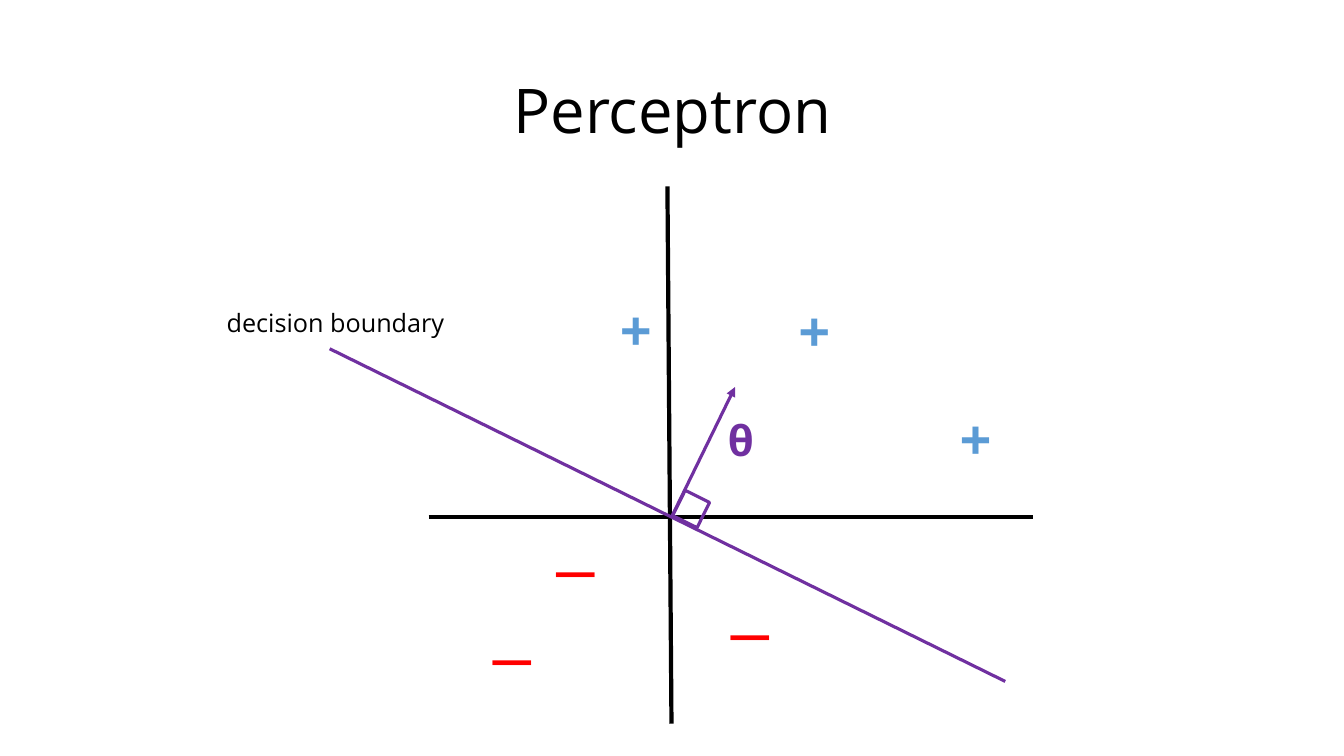
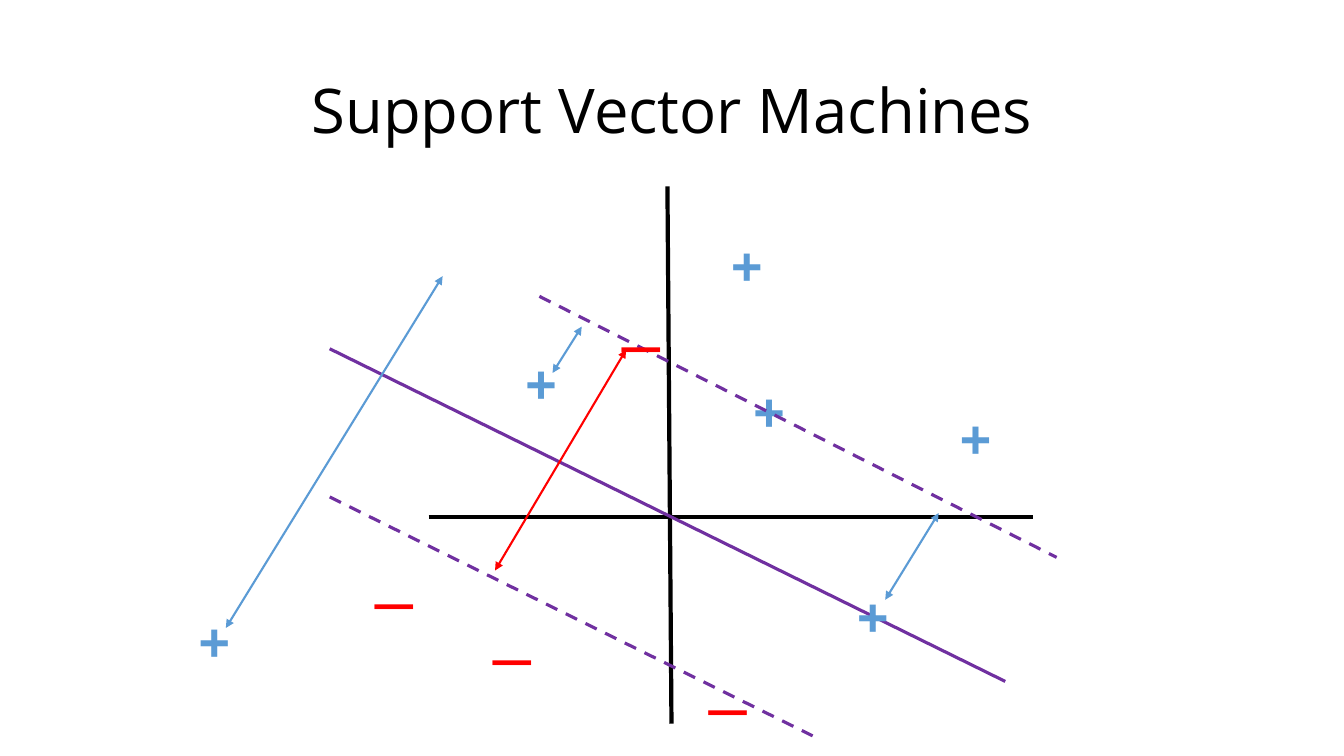
from lxml import etree
from pptx import Presentation
from pptx import util as u
from pptx.dml.color import RGBColor
from pptx.enum import dml, shapes, text
from pptx.oxml.ns import qn

FONT = "Open Sans"
COLORS = {
    "ink": "000000",
    "boundary": "7030A0",
    "positive": "5B9BD5",
    "negative": "FF0000",
}


def color(name):
    return RGBColor.from_string(COLORS[name])


# Text
def add_text(slide, content, box, size, color_name, bold=False):
    shape = slide.shapes.add_textbox(*[u.Inches(length) for length in box])
    frame = shape.text_frame
    frame.text = content
    frame.word_wrap = False
    frame.auto_size = text.MSO_AUTO_SIZE.SHAPE_TO_FIT_TEXT
    font = frame.paragraphs[0].runs[0].font
    font.name, font.size, font.bold = FONT, u.Pt(size), bold
    font.color.rgb = color(color_name)
    return frame


def add_title(slide, content):
    frame = add_text(slide, content, (0.92, 0.4, 11.5, 1.45), 44, "ink")
    frame.word_wrap = True
    frame.auto_size = text.MSO_AUTO_SIZE.NONE
    frame.vertical_anchor = text.MSO_ANCHOR.MIDDLE
    paragraph = frame.paragraphs[0]
    paragraph.alignment = text.PP_ALIGN.CENTER
    paragraph.line_spacing = 0.9


def add_positives(slide, *corners):
    for left, top in corners:
        add_text(slide, "+", (left, top, 0.58, 0.77), 40, "positive", True)


def add_negatives(slide, *corners):
    for left, top in corners:
        add_text(slide, "—", (left, top, 0.45, 0.61), 30, "negative", True)


# Lines
def add_line(slide, start, end, color_name, width=2.25, dashed=False, arrows=()):
    ends = [u.Inches(length) for length in (*start, *end)]
    connector = slide.shapes.add_connector(shapes.MSO_CONNECTOR.STRAIGHT, *ends)
    connector.line.color.rgb = color(color_name)
    connector.line.width = u.Pt(width)
    if dashed:
        connector.line.dash_style = dml.MSO_LINE.DASH
    outline = connector.line._get_or_add_ln()
    for arrow in arrows:
        etree.SubElement(outline, qn(f"a:{arrow}"), type="triangle")
    etree.SubElement(connector._element.spPr, qn("a:effectLst"))


def add_distance(slide, start, end, color_name):
    add_line(slide, start, end, color_name, 1.5, arrows=("headEnd", "tailEnd"))


def add_axes(slide):
    add_line(slide, (4.25, 5.13), (10.25, 5.13), "ink", 3)
    add_line(slide, (6.62, 1.85), (6.66, 7.18), "ink", 3)


def add_boundary(slide):
    add_line(slide, (3.27, 3.46), (9.97, 6.76), "boundary")


def add_right_angle(slide):
    box = [u.Inches(length) for length in (6.72, 4.91, 0.27, 0.28)]
    square = slide.shapes.add_shape(shapes.MSO_SHAPE.RECTANGLE, *box)
    square.rotation = 26.3
    square.shadow.inherit = False
    square.fill.background()
    square.line.color.rgb = color("boundary")
    square.line.width = u.Pt(2.25)


# Slides
def add_plot_slide(presentation, title):
    slide = presentation.slides.add_slide(presentation.slide_layouts[6])
    add_title(slide, title)
    add_axes(slide)
    return slide


def build_perceptron(presentation):
    slide = add_plot_slide(presentation, "Perceptron")
    add_positives(slide, (7.82, 2.89), (6.05, 2.88), (9.42, 3.96))
    add_negatives(slide, (7.13, 5.98), (4.77, 6.23), (5.4, 5.35))
    add_boundary(slide)

    # Normal vector
    add_line(slide, (6.66, 5.13), (7.29, 3.84), "boundary", arrows=("tailEnd",))
    add_text(slide, "θ", (7.12, 4.06, 0.48, 0.61), 30, "boundary", True)
    add_right_angle(slide)
    add_text(slide, "decision boundary", (2.15, 3, 2.36, 0.4), 18, "ink")


def build_support_vectors(presentation):
    slide = add_plot_slide(presentation, "Support Vector Machines")
    add_positives(slide, (7.37, 3.7), (9.42, 3.96))
    add_negatives(slide, (6.91, 6.72), (4.77, 6.23), (3.6, 5.67))

    # Boundary and margins
    add_boundary(slide)
    add_line(slide, (3.27, 4.93), (8.06, 7.3), "boundary", dashed=True)
    add_line(slide, (5.35, 2.94), (10.48, 5.53), "boundary", dashed=True)

    # Points in front of the margins, and their distances
    add_positives(slide, (5.11, 3.42), (8.4, 5.73), (7.15, 2.25), (1.87, 5.98))
    add_negatives(slide, (6.05, 3.12))
    add_distance(slide, (9.31, 5.09), (8.78, 5.95), "positive")
    add_distance(slide, (5.77, 3.24), (5.48, 3.7), "positive")
    add_distance(slide, (4.39, 2.74), (2.24, 6.23), "positive")
    add_distance(slide, (6.21, 3.47), (4.91, 5.66), "negative")


def main():
    presentation = Presentation()
    presentation.slide_width = u.Inches(13.33)
    presentation.slide_height = u.Inches(7.5)
    build_perceptron(presentation)
    build_support_vectors(presentation)
    presentation.save("out.pptx")


main()
